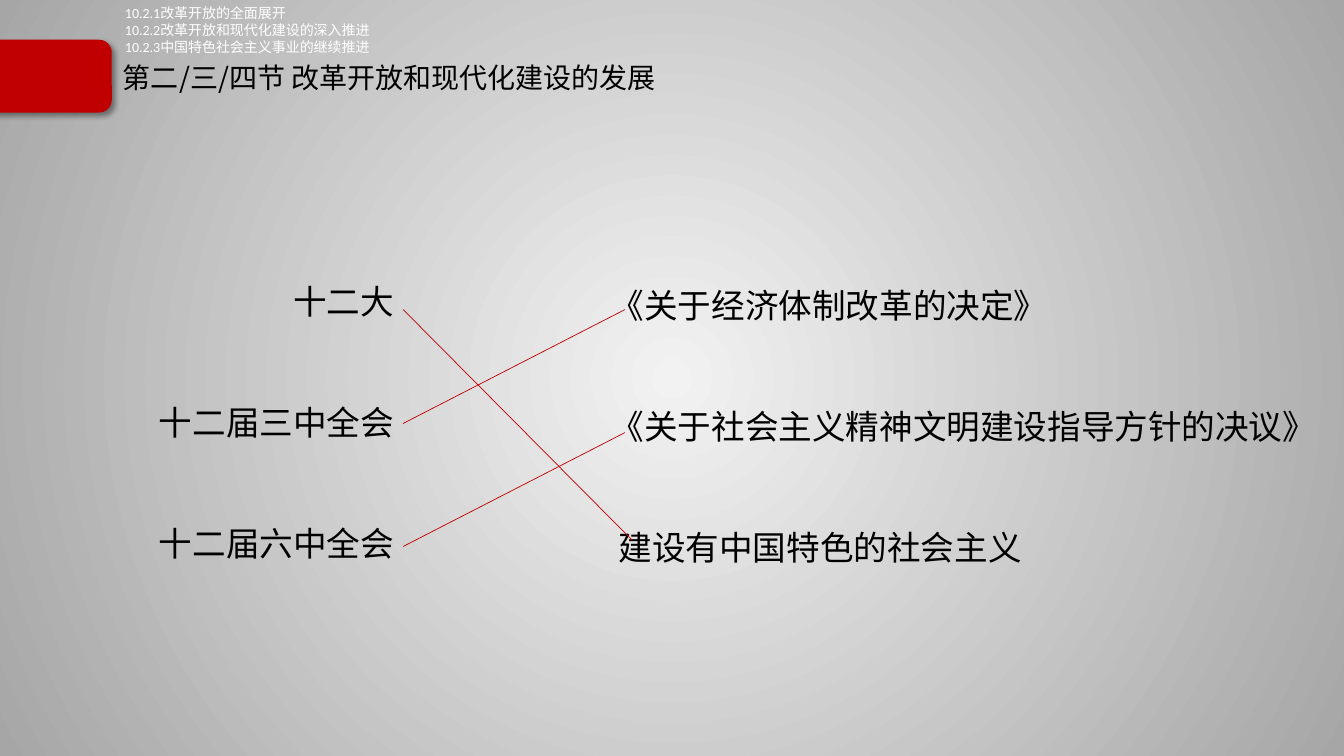
import pptx
import pptx.dml.color
import pptx.enum.shapes
import pptx.enum.text
import pptx.oxml
import pptx.oxml.ns
import pptx.util
from pptx.util import Cm

RED, BLACK, WHITE = "C00000", "000000", "FFFFFF"
ALIGN = pptx.enum.text.PP_ALIGN
ANCHOR = pptx.enum.text.MSO_ANCHOR
NS = pptx.oxml.ns.nsdecls("a")

SECTIONS = [
    "10.2.1改革开放的全面展开",
    "10.2.2改革开放和现代化建设的深入推进",
    "10.2.3中国特色社会主义事业的继续推进",
]
MEETINGS = ["十二大", "十二届三中全会", "十二届六中全会"]
DOCUMENTS = [
    "《关于经济体制改革的决定》",
    "《关于社会主义精神文明建设指导方针的决议》",
    "建设有中国特色的社会主义",
]
# Start and end of each matching line, in cm
MATCHES = [
    (10.16, 7.8, 15.93, 13.61),
    (10.16, 10.67, 15.75, 7.8),
    (10.16, 13.77, 15.75, 10.9),
]


def rgb(value):
    return pptx.dml.color.RGBColor.from_string(value)


def set_background(slide, inner, outer):
    fill = slide.background.fill
    fill.gradient()
    for stop, color in zip(fill.gradient_stops, (inner, outer)):
        stop.color.rgb = rgb(color)
    # Radial gradient from the centre
    grad = slide.background._cSld.find(".//" + pptx.oxml.ns.qn("a:gradFill"))
    lin = grad.find(pptx.oxml.ns.qn("a:lin"))
    grad.replace(lin, pptx.oxml.parse_xml(
        f'<a:path {NS} path="circle">'
        '<a:fillToRect l="50000" t="50000" r="50000" b="50000"/></a:path>'))


def add_text(slide, x, y, w, h, lines, size, font, color, align=ALIGN.LEFT,
             anchor=ANCHOR.TOP, spacing=None, gap=0):
    sp = slide.shapes.add_textbox(Cm(x), Cm(y), Cm(w), Cm(h))
    tf = sp.text_frame
    tf.word_wrap = True
    tf.vertical_anchor = anchor
    for i, line in enumerate(lines):
        p = tf.paragraphs[0] if i == 0 else tf.add_paragraph()
        p.alignment = align
        if spacing:
            p.line_spacing = spacing
        if i and gap:
            p.space_before = pptx.util.Pt(gap)
        r = p.add_run()
        r.text = line
        r.font.size = pptx.util.Pt(size)
        r.font.name = font
        r.font.color.rgb = rgb(color)
        if "CJK" in font:
            r.font._element.append(pptx.oxml.parse_xml(
                f'<a:ea {NS} typeface="{font}"/>'))
    return tf


def add_column(slide, x, y, w, lines, align):
    return add_text(slide, x, y, w, 8.8, lines, 24, "Noto Sans CJK SC", BLACK,
                    align, spacing=pptx.util.Pt(36), gap=50.4)


def add_match(slide, x1, y1, x2, y2):
    line = slide.shapes.add_connector(
        pptx.enum.shapes.MSO_CONNECTOR.STRAIGHT, Cm(x1), Cm(y1), Cm(x2), Cm(y2))
    line.line.color.rgb = rgb(RED)
    line.line.width = pptx.util.Pt(0.5)
    line._element.spPr.append(pptx.oxml.parse_xml(f"<a:effectLst {NS}/>"))


def add_tab(slide, x, y, w, h):
    sp = slide.shapes.add_shape(
        pptx.enum.shapes.MSO_SHAPE.ROUNDED_RECTANGLE, Cm(x), Cm(y), Cm(w), Cm(h))
    sp.fill.solid()
    sp.fill.fore_color.rgb = rgb(RED)
    sp.line.color.rgb = rgb(RED)
    sp.line.width = pptx.util.Pt(1)
    # Soft shadow towards the lower right
    sp._element.spPr.append(pptx.oxml.parse_xml(
        f'<a:effectLst {NS}><a:outerShdw blurRad="50800" dist="38100" '
        'dir="2700000" algn="tl" rotWithShape="0"><a:srgbClr val="000000">'
        '<a:alpha val="40000"/></a:srgbClr></a:outerShdw></a:effectLst>'))


def main():
    prs = pptx.Presentation()
    prs.slide_width, prs.slide_height = Cm(33.87), Cm(19.05)
    slide = prs.slides.add_slide(prs.slide_layouts[6])
    set_background(slide, "F2F2F2", "A6A6A6")

    # Title
    add_text(slide, 2.85, 1.24, 18.2, 1.5, ["第二/三/四节 改革开放和现代化建设的发展"],
             20, "Noto Sans CJK JP", BLACK, anchor=ANCHOR.MIDDLE, spacing=0.9)

    # Meetings and the documents they adopted
    add_column(slide, 1.2, 6.7, 8.98, MEETINGS, ALIGN.RIGHT)
    tf = add_column(slide, 15.14, 6.8, 18.6, DOCUMENTS, ALIGN.LEFT)
    tf.paragraphs[-1]._p.get_or_add_pPr().set("marL", str(Cm(0.2)))
    for match in MATCHES:
        add_match(slide, *match)

    # Header tab and section list
    add_tab(slide, -0.45, 1.02, 3.25, 1.8)
    add_text(slide, 2.9, 0, 19.86, 1.55, SECTIONS, 10, "Calibri", WHITE)

    prs.save("out.pptx")


if __name__ == "__main__":
    main()
